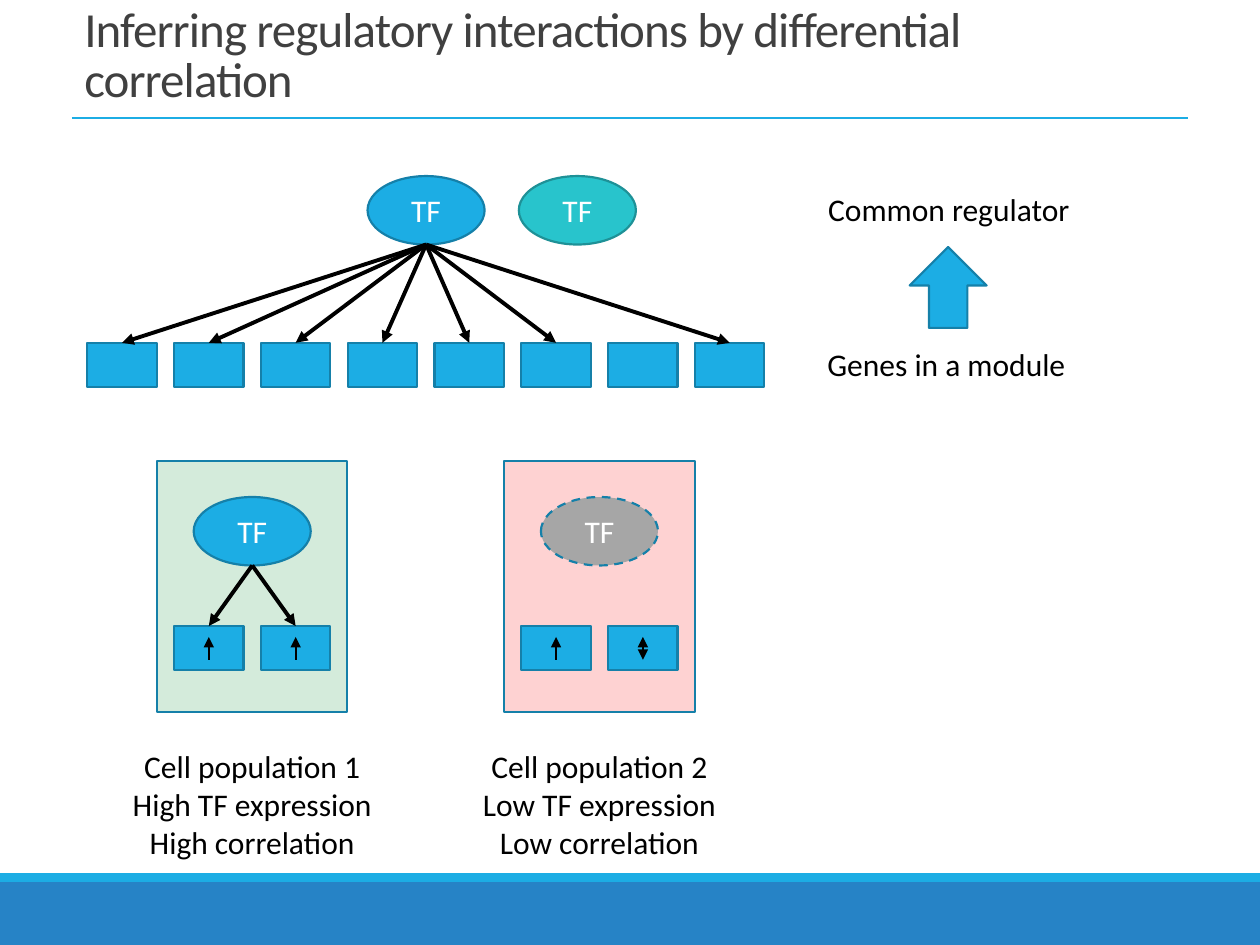
from dataclasses import dataclass

from lxml import etree
from pptx import Presentation
from pptx import util as u
from pptx.dml.color import RGBColor
from pptx.enum import dml, shapes, text
from pptx.oxml import ns

KIND = shapes.MSO_SHAPE
ALIGN = text.PP_ALIGN
ANCHOR = text.MSO_ANCHOR


@dataclass(frozen=True)
class Theme:
    font: str = "Calibri"
    head: int = 28
    body: int = 18
    blue: str = "1CADE4"
    edge: str = "1580A9"
    deep: str = "2683C6"
    teal: str = "28C4CC"
    teal_edge: str = "1E9197"
    grey: str = "A6A6A6"
    green: str = "D4EBDB"
    pink: str = "FED2D2"
    dark: str = "404040"
    black: str = "000000"
    white: str = "FFFFFF"


T = Theme()

# Grid in centimetres
GENE_X, GENE_W, GENE_H, STEP = 1.76, 1.4, 0.89, 1.75
TF_W, TF_H = 2.36, 1.38
ROW_TOP, CELL_ROW = 6.91, 12.62


def put_text(frame, words, size=T.body, color=T.black, align=ALIGN.CENTER,
             anchor=ANCHOR.TOP, wrap=True, lead=None, track=None):
    """Write each line of words as one paragraph."""
    frame.word_wrap = wrap
    frame.vertical_anchor = anchor
    for i, line in enumerate(words.split("\n")):
        para = frame.paragraphs[0] if i == 0 else frame.add_paragraph()
        para.alignment = align
        if lead:
            para.line_spacing = lead
        run = para.add_run()
        run.text = line
        run.font.name = T.font
        run.font.size = u.Pt(size)
        run.font.color.rgb = RGBColor.from_string(color)
        if track:
            run.font._element.set("spc", str(track))


def add_label(slide, words, x, y, w, h, **style):
    box = slide.shapes.add_textbox(u.Cm(x), u.Cm(y), u.Cm(w), u.Cm(h))
    put_text(box.text_frame, words, **style)


def add_block(slide, kind, x, y, w, h, fill=T.blue, edge=T.edge):
    block = slide.shapes.add_shape(kind, u.Cm(x), u.Cm(y), u.Cm(w), u.Cm(h))
    block.shadow.inherit = False
    block.fill.solid()
    block.fill.fore_color.rgb = RGBColor.from_string(fill)
    if edge:
        block.line.color.rgb = RGBColor.from_string(edge)
        block.line.width = u.Pt(1.25)
    else:
        block.line.fill.background()
    return block


def add_line(slide, x1, y1, x2, y2, color=T.black, width=2.25, ends=()):
    line = slide.shapes.add_connector(
        shapes.MSO_CONNECTOR.STRAIGHT, u.Cm(x1), u.Cm(y1), u.Cm(x2), u.Cm(y2))
    line.line.color.rgb = RGBColor.from_string(color)
    line.line.width = u.Pt(width)
    stroke = line.line._get_or_add_ln()
    for end in ends:
        etree.SubElement(stroke, ns.qn("a:" + end), type="triangle")
    etree.SubElement(line._element.spPr, ns.qn("a:effectLst"))


def add_factor(slide, x, y, dash=False, **paint):
    oval = add_block(slide, KIND.OVAL, x, y, TF_W, TF_H, **paint)
    put_text(oval.text_frame, "TF", color=T.white, anchor=ANCHOR.MIDDLE)
    if dash:
        oval.line.dash_style = dml.MSO_LINE.DASH


def add_genes(slide, slots, top):
    for slot in slots:
        add_block(slide, KIND.RECTANGLE, GENE_X + slot * STEP, top,
                  GENE_W, GENE_H)


def mid_gene(slot):
    return GENE_X + slot * STEP + GENE_W / 2


def add_links(slide, x, y, slots, top):
    """Arrows from one factor to its target genes."""
    for slot in slots:
        add_line(slide, x, y, mid_gene(slot), top, ends=["tailEnd"])


def add_frame(slide):
    add_block(slide, KIND.RECTANGLE, 0, 17.78, 25.4, 1.27, T.deep, None)
    add_block(slide, KIND.RECTANGLE, 0, 17.6, 25.4, 0.18, T.blue, None)
    add_line(slide, 1.45, 2.38, 23.95, 2.38, T.blue, 1)
    add_label(slide,
              "Inferring regulatory interactions by differential correlation",
              1.45, 0.99, 22.5, 1.3, size=T.head, color=T.dark,
              align=ALIGN.LEFT, anchor=ANCHOR.BOTTOM, lead=0.85, track=-50)


def add_module(slide):
    x, y = 7.41, 3.55
    add_genes(slide, range(8), ROW_TOP)
    add_factor(slide, x, y)
    targets = [slot for slot in range(8) if slot != 6]
    add_links(slide, x + TF_W / 2, y + TF_H, targets, ROW_TOP)
    add_factor(slide, 10.46, y, fill=T.teal, edge=T.teal_edge)
    # Key at the right
    add_label(slide, "Common regulator", 16.08, 3.71, 6.1, 1.02)
    add_block(slide, KIND.UP_ARROW, 18.34, 4.98, 1.55, 1.63)
    add_label(slide, "Genes in a module", 16.43, 6.83, 5.36, 1.02,
              align=ALIGN.LEFT, wrap=False)


def add_cell(slide, first, tint, words, active, marks):
    """Panel of one cell population, with genes from slot first on."""
    slots = (first, first + 1)
    center = (mid_gene(slots[0]) + mid_gene(slots[1])) / 2
    add_block(slide, KIND.RECTANGLE, center - 1.92, 9.3, 3.84, 5.05, tint)
    add_genes(slide, slots, CELL_ROW)
    add_factor(slide, center - TF_W / 2, 10.02, dash=not active,
               fill=T.blue if active else T.grey)
    if active:
        add_links(slide, center, 10.02 + TF_H, slots, CELL_ROW)
    for slot, ends in zip(slots, marks):
        x = mid_gene(slot)
        add_line(slide, x, 13.3, x, 12.84, width=1, ends=ends)
    add_label(slide, words, center - 2.77, 14.94, 5.54, 2.57)


def main():
    deck = Presentation()
    deck.slide_width, deck.slide_height = u.Cm(25.4), u.Cm(19.05)
    slide = deck.slides.add_slide(deck.slide_layouts[6])
    add_frame(slide)
    add_module(slide)
    up, both = ["tailEnd"], ["headEnd", "tailEnd"]
    add_cell(slide, 1, T.green,
             "Cell population 1\nHigh TF expression\nHigh correlation",
             True, (up, up))
    add_cell(slide, 5, T.pink,
             "Cell population 2\nLow TF expression\nLow correlation",
             False, (up, both))
    deck.save("out.pptx")


if __name__ == "__main__":
    main()
